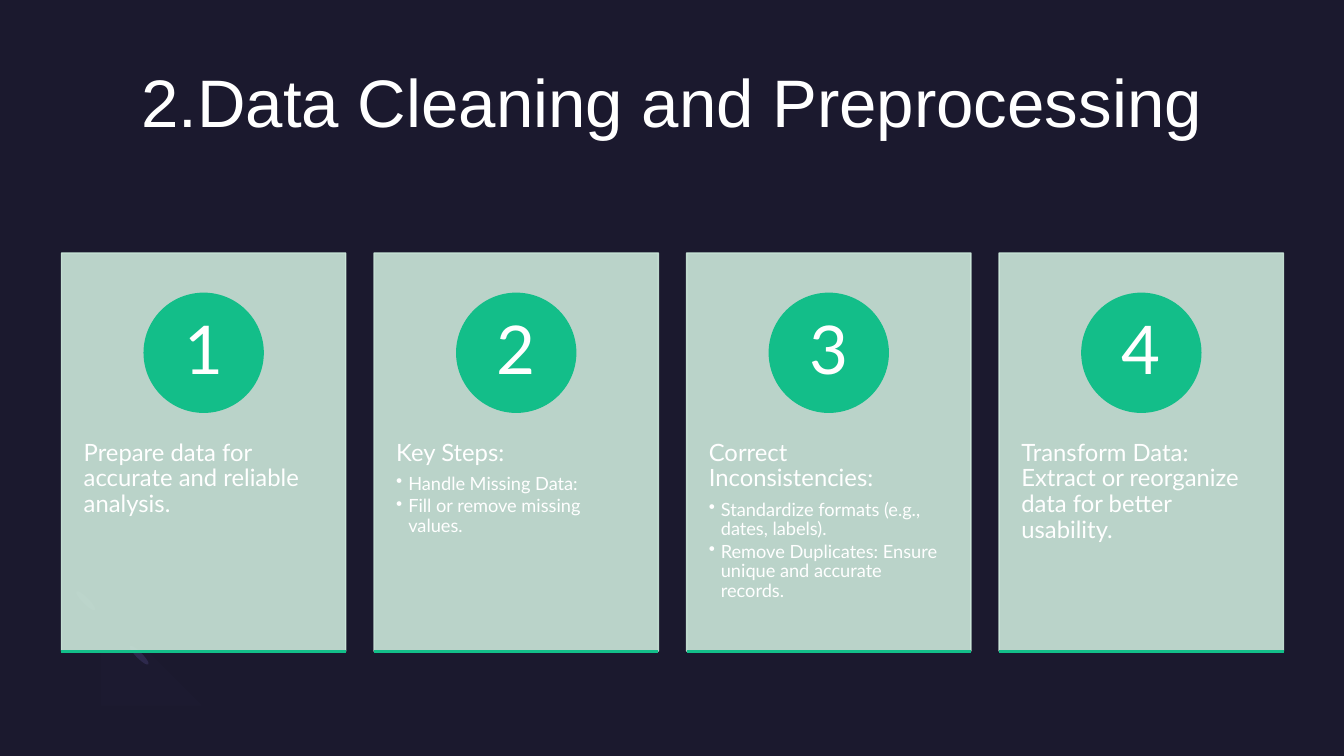
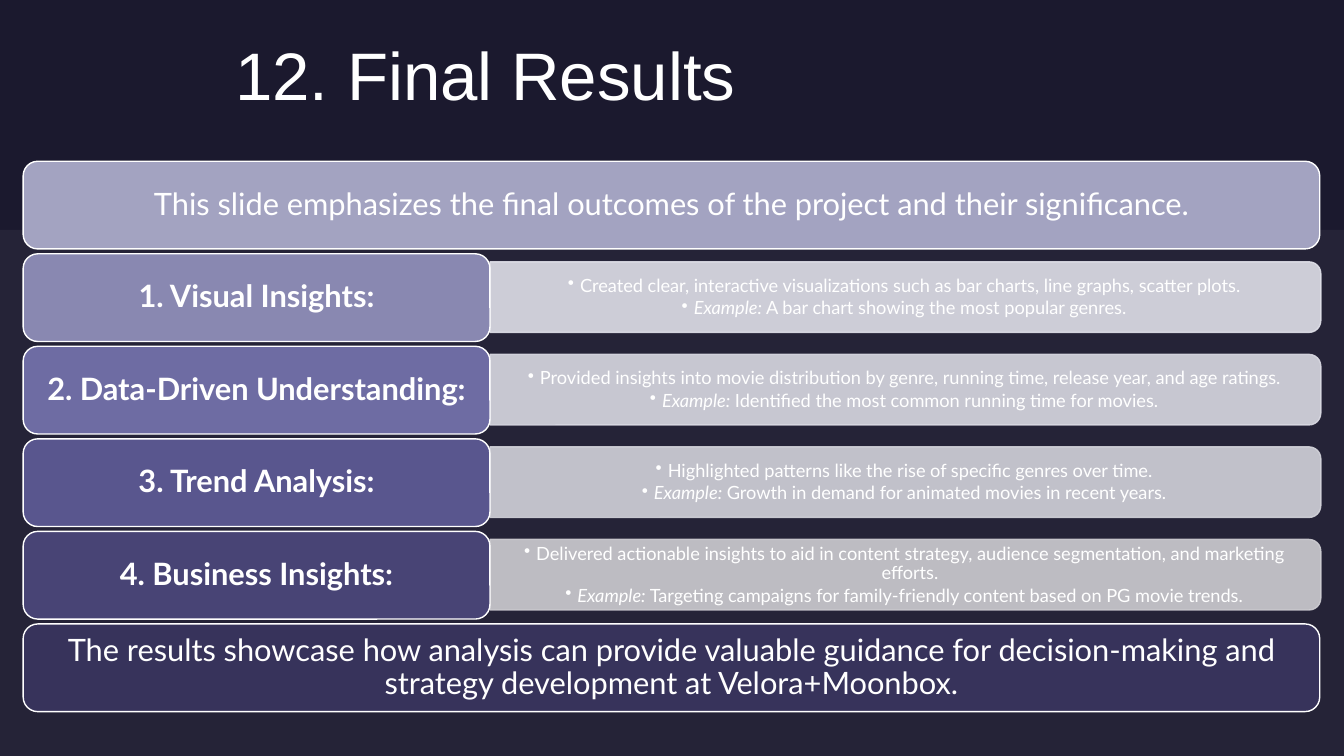
from lxml import etree
from pptx import Presentation
from pptx.dml.color import RGBColor
from pptx.enum import shapes as sh, text as tx
from pptx.oxml.ns import qn
from pptx.util import Inches, Pt

WHITE, NIGHT, MINT, GREEN, DUSK = "FFFFFF", "1B192E", "CCE8DA", "13BE89", "2C284A"
LEFT, MID = tx.PP_ALIGN.LEFT, tx.PP_ALIGN.CENTER
TOP, CENTER = tx.MSO_ANCHOR.TOP, tx.MSO_ANCHOR.MIDDLE
FORM = sh.MSO_SHAPE

CARDS = [
    ("Prepare data for accurate and reliable analysis.", []),
    ("Key Steps:", ["Handle Missing Data:", "Fill or remove missing values."]),
    ("Correct Inconsistencies:", [
        "Standardize formats (e.g., dates, labels).",
        "Remove Duplicates: Ensure unique and accurate records."]),
    ("Transform Data: Extract or reorganize data for better usability.", []),
]
INTRO = "This slide emphasizes the final outcomes of the project and their significance."
CLOSE = ("The results showcase how analysis can provide valuable guidance for "
         "decision-making and strategy development at Velora+Moonbox.")
ROWS = [
    ("1. Visual Insights:", "8988B1", "E0E0E9",
     "Created clear, interactive visualizations such as bar charts, line graphs, scatter plots.",
     "A bar chart showing the most popular genres."),
    ("2. Data-Driven Understanding:", "6E6CA3", "D9D9E2",
     "Provided insights into movie distribution by genre, running time, release year, and age ratings.",
     "Identified the most common running time for movies."),
    ("3. Trend Analysis:", "59568E", "D3D3DA",
     "Highlighted patterns like the rise of specific genres over time.",
     "Growth in demand for animated movies in recent years."),
    ("4. Business Insights:", "484475", "CECDD2",
     "Delivered actionable insights to aid in content strategy, audience segmentation, and marketing efforts.",
     "Targeting campaigns for family-friendly content based on PG movie trends."),
]


def color(code):
    return RGBColor.from_string(code)


def box(left, top, width, height):
    return [Inches(v) for v in (left, top, width, height)]


def paint(shape, fill, line=None, alpha=100):
    shape.shadow.inherit = False
    shape.fill.solid()
    shape.fill.fore_color.rgb = color(fill)
    if line:
        shape.line.color.rgb = color(line)
        shape.line.width = Pt(1)
    else:
        shape.line.fill.background()
    if alpha < 100:
        for node in shape.element.spPr.iter(qn("a:srgbClr")):
            etree.SubElement(node, qn("a:alpha"), val=str(alpha * 1000))
    return shape


def draw(slide, form, area, fill, line=None, alpha=100):
    return paint(slide.shapes.add_shape(form, *box(*area)), fill, line, alpha)


def setup(frame, anchor, side=0, top=0, base=0):
    frame.word_wrap = True
    frame.auto_size = tx.MSO_AUTO_SIZE.NONE
    frame.vertical_anchor = anchor
    frame.margin_left = frame.margin_right = Inches(side)
    frame.margin_top, frame.margin_bottom = Inches(top), Inches(base)
    return frame


def style(run, size, font="Lato", bold=False, slant=False):
    run.font.size, run.font.name = Pt(size), font
    run.font.bold, run.font.italic = bold, slant
    run.font.color.rgb = color(WHITE)


def write(frame, words, size, align=MID, after=0, bold=False):
    par = frame.add_paragraph() if frame.text else frame.paragraphs[0]
    par.text = words
    par.alignment, par.line_spacing, par.space_after = align, 0.9, Pt(after)
    style(par.runs[0], size, bold=bold)
    return par


def bullet(frame, words, align):
    par = write(frame, words, 13, align, 2)
    props = par._p.get_or_add_pPr()
    props.set("marL", str(Inches(0.12)))
    props.set("indent", str(-Inches(0.12)))
    etree.SubElement(props, qn("a:buChar"), char="•")
    return par


def start(deck, words, area, anchor):
    slide = deck.slides.add_slide(deck.slide_layouts[5])
    title = slide.shapes.title
    title.left, title.top, title.width, title.height = box(*area)
    frame = setup(title.text_frame, anchor)
    frame.text = words
    frame.paragraphs[0].alignment = MID
    style(frame.paragraphs[0].runs[0], 48, "Arial")
    return slide


def curve(a, b, c, d, steps=12):
    for i in range(1, steps + 1):
        t = i / steps
        s = 1 - t
        yield tuple(s**3 * p + 3 * s * s * t * q + 3 * s * t * t * r + t**3 * e
                    for p, q, r, e in zip(a, b, c, d))


def ring(slide):
    for left, top in ((1.35, 6.37), (0.82, 5.83)):
        draw(slide, FORM.OVAL, (left, top, 0.06, 0.26), DUSK).rotation = 135
    first, turn = (0.76, 6.59), (0.99, 6)
    points = [*curve(first, (0.56, 6.39), (0.58, 6.05), (0.81, 5.82)), turn,
              *curve(turn, (0.87, 6.11), (0.86, 6.29), (0.96, 6.38)),
              *curve((0.96, 6.38), (1.06, 6.48), (1.23, 6.47), (1.35, 6.36)),
              (1.52, 6.54),
              *curve((1.52, 6.54), (1.3, 6.76), (0.95, 6.79), first)]
    path = slide.shapes.build_freeform(*first, scale=Inches(1))
    path.add_line_segments(points)
    paint(path.convert_to_shape(), "7771B2", alpha=2)


def rule(slide, left, top, width):
    line = slide.shapes.add_connector(
        sh.MSO_CONNECTOR.STRAIGHT, *box(left, top, left + width, top))
    line.line.color.rgb = color(GREEN)
    line.line.width = Pt(2)
    etree.SubElement(line.element.spPr, qn("a:effectLst"))


def card(slide, index, head, notes):
    width, top, height, disc = 2.82, 2.51, 3.95, 1.18
    left = 0.61 + 3.1 * index
    panel = draw(slide, FORM.RECTANGLE, (left, top, width, height), MINT, MINT, 90)
    frame = setup(panel.text_frame, TOP, 0.22, 1.86, 0.36)
    write(frame, head, 17, LEFT, 6)
    for note in notes:
        bullet(frame, note, LEFT)
    badge = draw(slide, FORM.OVAL,
                 (left + (width - disc) / 2, top + 0.4, disc, disc), GREEN, GREEN)
    write(setup(badge.text_frame, CENTER), str(index + 1), 48)
    rule(slide, left, top + height, width)


def label(slide, words, top, width, fill, bold=False):
    bar = draw(slide, FORM.ROUNDED_RECTANGLE, (0.23, top, width, 0.87), fill, WHITE)
    write(setup(bar.text_frame, CENTER, 0.13, 0.09, 0.09), words, 22, bold=bold)


def row(slide, top, head, fill, pale, fact, case):
    left, width, height, mid = 4.86, 8.24, 0.7, top + 0.43
    area = (left + (width - height) / 2, mid - width / 2, height, width)
    draw(slide, FORM.ROUND_2_SAME_RECTANGLE, area, pale, pale, 90).rotation = 90
    note = slide.shapes.add_textbox(*box(left, mid - 0.31, 8.21, 0.63))
    frame = setup(note.text_frame, CENTER, 0.05, 0.03, 0.03)
    bullet(frame, fact, MID)
    par = bullet(frame, "Example:", MID)
    par.runs[0].font.italic = True
    tail = par.add_run()
    tail.text = " " + case
    style(tail, 13)
    label(slide, head, top, 4.63, fill, True)


def main():
    deck = Presentation()
    deck.slide_width, deck.slide_height = Inches(13.33), Inches(7.5)
    back = deck.slide_master.background.fill
    back.solid()
    back.fore_color.rgb = color(NIGHT)

    slide = start(deck, "2.Data Cleaning and Preprocessing", (0.6, 0.6, 12.13, 1.46), TOP)
    ring(slide)
    for index, (head, notes) in enumerate(CARDS):
        card(slide, index, head, notes)

    slide = start(deck, "12. Final Results", (0.82, 0.19, 7.99, 1.08), CENTER)
    draw(slide, FORM.RECTANGLE, (0, 2.28, 13.33, 5.22), "E4E3F0", alpha=5)
    first, last = 1.6, 6.19
    step = (last - first) / (len(ROWS) + 1)
    label(slide, INTRO, first, 12.86, "A3A3C1")
    for index, data in enumerate(ROWS, 1):
        row(slide, first + step * index, *data)
    label(slide, CLOSE, last, 12.86, "37335B")
    deck.save("out.pptx")


if __name__ == "__main__":
    main()
